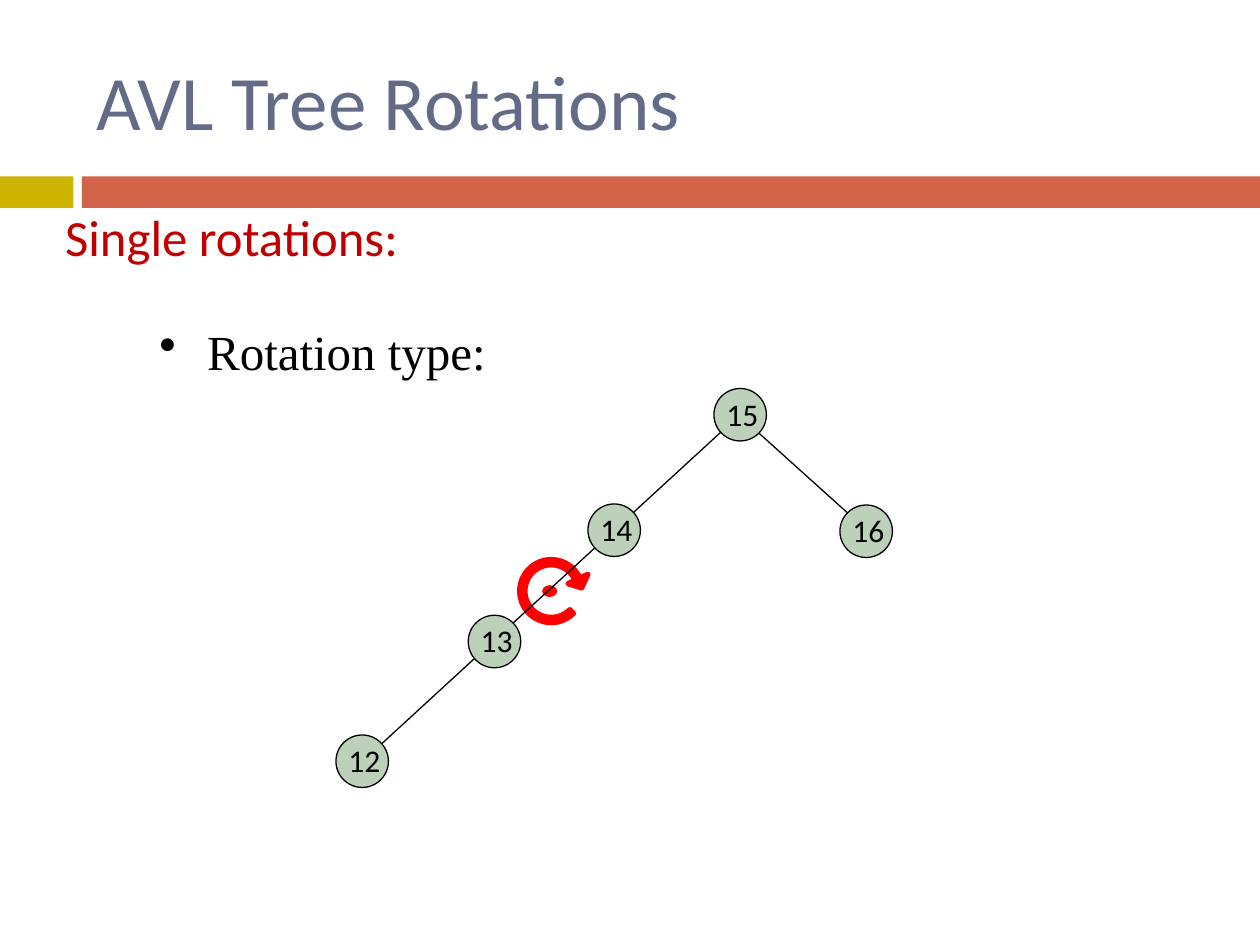
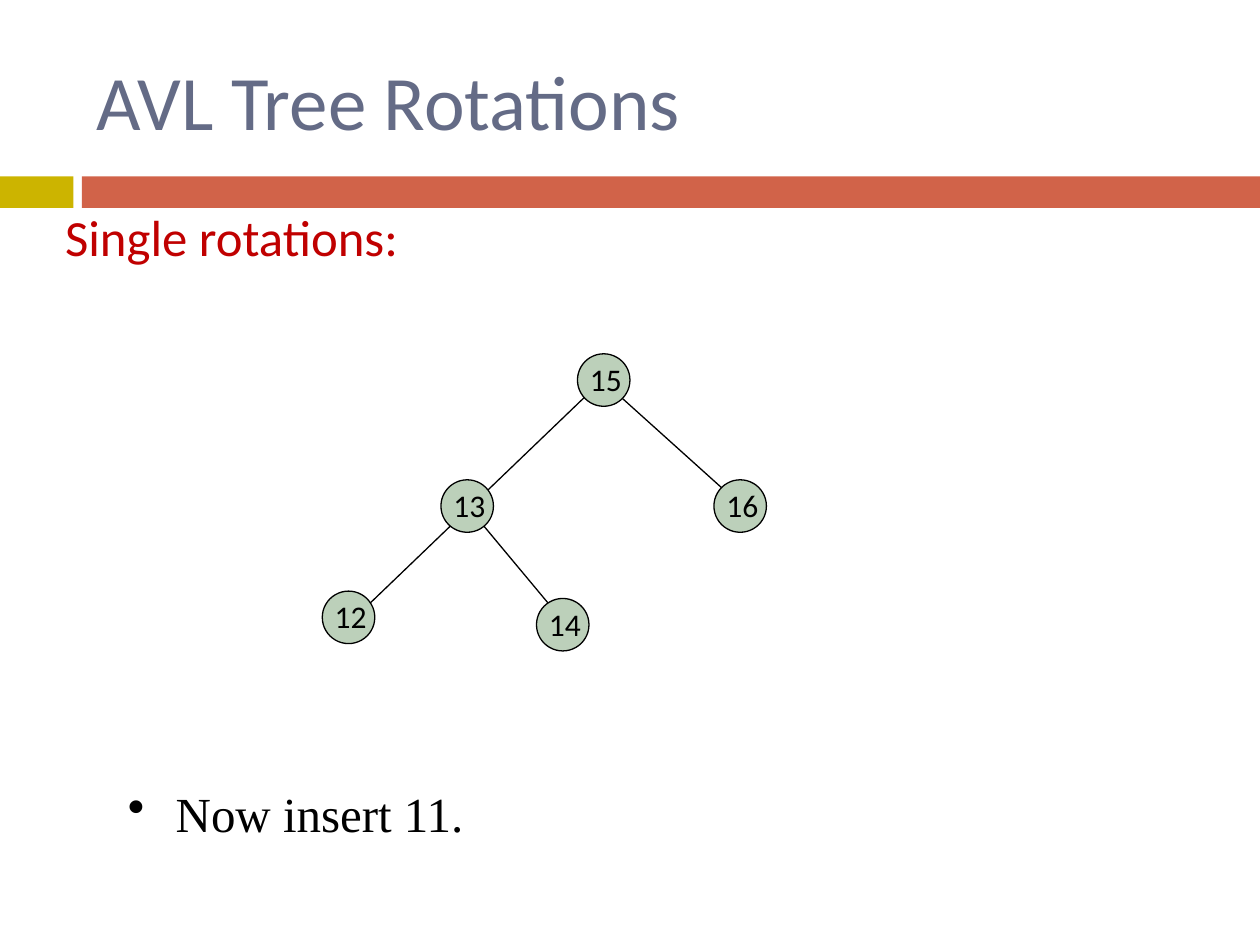
from math import cos, radians, sin

from lxml import etree
from pptx import Presentation
from pptx.dml.color import RGBColor
from pptx.enum.shapes import MSO_CONNECTOR, MSO_SHAPE
from pptx.enum.text import MSO_ANCHOR, MSO_AUTO_SIZE, PP_ALIGN
from pptx.oxml.ns import qn
from pptx.util import Inches, Pt

RECTANGLE, OVAL = MSO_SHAPE.RECTANGLE, MSO_SHAPE.OVAL
STRAIGHT = MSO_CONNECTOR.STRAIGHT
LEFT, TOP, MIDDLE = PP_ALIGN.LEFT, MSO_ANCHOR.TOP, MSO_ANCHOR.MIDDLE
NO_FIT = MSO_AUTO_SIZE.NONE

# Grid: 120 columns by 90 rows of square cells
CELL = Inches(1) // 12
COLUMNS, ROWS = 120, 90
NODE = 5

GOLD, BRICK, SLATE = "CCB400", "D16349", "646B86"
CRIMSON, RED, SAGE, BLACK = "C00000", "FF0000", "BCD0BA", "000000"
SANS, SERIF = "Calibri", "Times New Roman"


def cells(*counts):
    return [round(count * CELL) for count in counts]


def paint(fill, hue):
    fill.solid()
    fill.fore_color.rgb = RGBColor.from_string(hue)


# Each tree: node positions by value, and the edges drawn behind them
pages = [
    {
        "bullet": ("Rotation type:", 14, 30),
        "edges": [(34, 73, 71, 39), (72, 41, 82, 50)],
        "nodes": {14: (56, 48), 15: (68, 37), 16: (80, 48.1),
                  13: (44.6, 58.6), 12: (32, 70)},
        "pivot": (52.5, 56.3),
    },
    {
        "bullet": ("Now insert 11.", 11, 74),
        "edges": [(44, 47.6, 54, 59.6), (33, 59.6, 58, 35.6),
                  (59, 37.7, 69, 46.7)],
        "nodes": {13: (42, 45.7), 15: (55, 33.7), 16: (68, 45.7),
                  12: (30.7, 56.3), 14: (51.1, 57)},
        "pivot": None,
    },
]

deck = Presentation()
deck.slide_width, deck.slide_height = cells(COLUMNS, ROWS)
layout = deck.slide_layouts[1]

# Shared placeholder places
for index, place in ((0, (8, 2, 102, 15)), (1, (5, 19, 112, 8))):
    holder = layout.placeholders[index]
    holder.left, holder.top, holder.width, holder.height = cells(*place)

for number, content in enumerate(pages):
    page = deck.slides.add_slide(layout)

    # Bands: drawn once, then handed to the layout
    if number == 0:
        for order, (left, width, hue) in enumerate(
                ((0, 7, GOLD), (7.8, COLUMNS - 7.8, BRICK))):
            band = page.shapes.add_shape(
                RECTANGLE, *cells(left, 16.8, width, 3))
            band.shadow.inherit = False
            paint(band.fill, hue)
            band.line.fill.background()
            band.element.nvSpPr.cNvPr.set("id", str(20 + order))
            layout.shapes.element.insert(2 + order, band.element)

    # Rotation arrow: an open ring with an arrowhead and a dot at its pivot
    if content["pivot"]:
        x, y = content["pivot"]
        ring = [(3, angle) for angle in range(25, 320, 5)]
        ring += [(2.5, angle) for angle in range(315, 20, -5)]
        points = [(x + radius * cos(radians(angle)),
                   y - radius * sin(radians(angle))) for radius, angle in ring]
        points += [(x + 1.6, y - 0.7), (x + 2.9, y - 0.3), (x + 3.5, y - 1.6)]
        outline = [cells(*point) for point in points]
        builder = page.shapes.build_freeform(*outline[0])
        builder.add_line_segments(outline[1:], close=True)
        arrow = builder.convert_to_shape()
        dot = page.shapes.add_shape(
            OVAL, *cells(x - 0.8, y - 0.5, 1.3, 1))
        for mark, weight in ((arrow, 3), (dot, 0.75)):
            mark.shadow.inherit = False
            paint(mark.fill, RED)
            paint(mark.line.fill, RED)
            mark.line.width = Pt(weight)

    # Tree edges
    for ends in content["edges"]:
        edge = page.shapes.add_connector(STRAIGHT, *cells(*ends))
        paint(edge.line.fill, BLACK)
        edge.line.width = Pt(0.75)
        etree.SubElement(edge.element.spPr, qn("a:effectLst"))

    # Tree nodes, with a box for each label
    labels = []
    for value, (left, top) in content["nodes"].items():
        node = page.shapes.add_shape(OVAL, *cells(left, top, NODE, NODE))
        node.shadow.inherit = False
        paint(node.fill, SAGE)
        paint(node.line.fill, BLACK)
        node.line.width = Pt(0.75)
        label = page.shapes.add_textbox(*cells(left, top, 6, 4.8))
        labels.append((label, str(value), 18, SANS, BLACK, 0, 0, None, TOP))

    # Text: box, words, size, font, colour, space before, indent, bullet, anchor
    words, left, top = content["bullet"]
    note = page.shapes.add_textbox(*cells(left, top, 66, 8))
    texts = [
        (page.shapes.title, "AVL Tree Rotations", 44, SANS, SLATE,
         0, 0, None, MIDDLE),
        (page.placeholders[1], "Single rotations:", 29, SANS, CRIMSON,
         7, 0.35, None, TOP),
        (note, words, 28, SERIF, BLACK, 6, 0.38, "•", TOP),
    ]
    for box, words, size, font, hue, before, indent, bullet, anchor in texts + labels:
        frame = box.text_frame
        frame.word_wrap = True
        frame.auto_size = NO_FIT
        frame.vertical_anchor = anchor
        para = frame.paragraphs[0]
        para.alignment = LEFT
        para.space_before = Pt(before)
        properties = para._p.get_or_add_pPr()
        properties.set("marL", str(Inches(indent)))
        properties.set("indent", str(-Inches(indent)))
        if bullet:
            etree.SubElement(properties, qn("a:buChar")).set("char", bullet)
        else:
            etree.SubElement(properties, qn("a:buNone"))
        span = para.add_run()
        span.text = words
        span.font.size = Pt(size)
        span.font.name = font
        paint(span.font.fill, hue)

deck.save("out.pptx")
